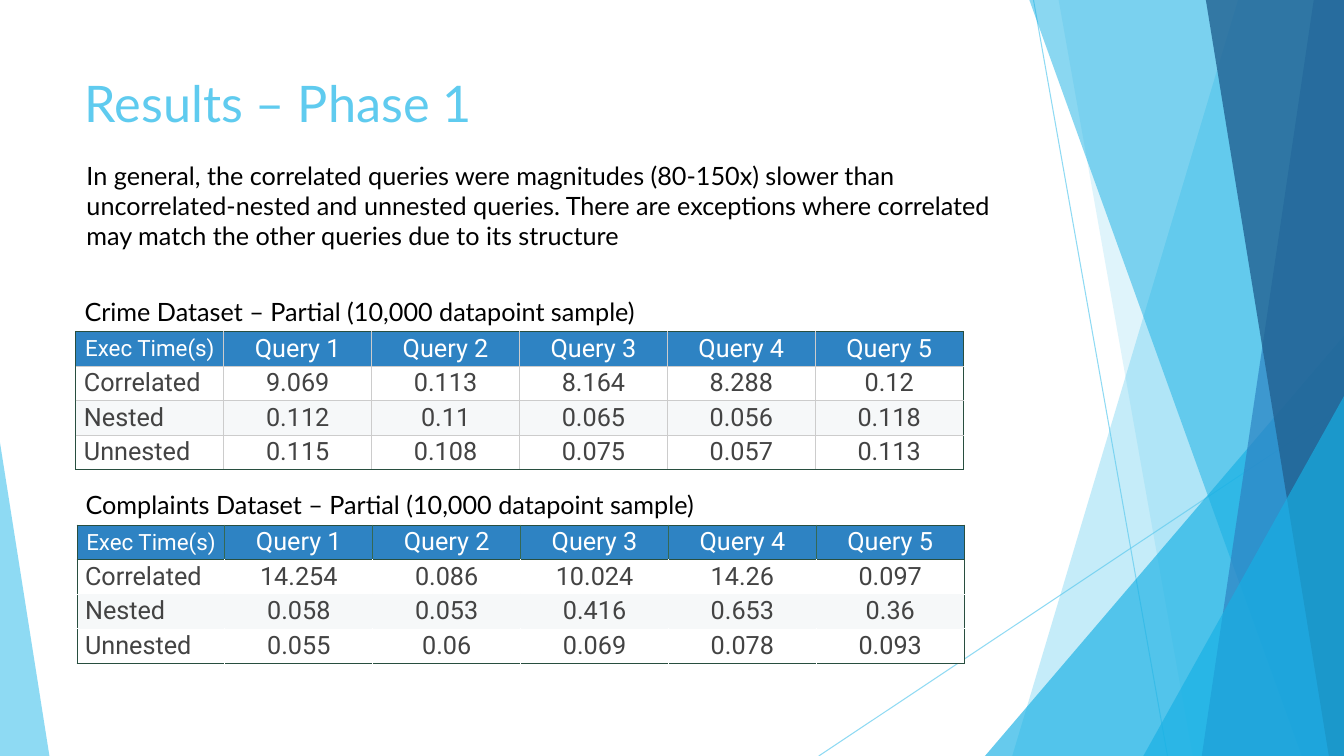
from lxml import etree
from pptx import Presentation
from pptx import util as u
from pptx.dml.color import RGBColor
from pptx.enum import shapes, text
from pptx.oxml import ns

SLIDE_WIDTH, SLIDE_HEIGHT = u.Inches(13.33), u.Inches(7.5)
CAPTION_HEIGHT, ROW_HEIGHT, TABLE_WIDTH = 5.33, 4.57, 66.02

COLORS = {
    "sky": "5FCBEF", "cyan": "17B0E4", "blue": "2E83C3", "navy": "226292",
    "white": "FFFFFF", "stripe": "F6F8F9", "grid": "CCCCCC",
    "frame": "284E3F", "divider": "356854", "body": "434343", "black": "000000",
}

HEADER = ["Exec Time(s)", "Query 1", "Query 2", "Query 3", "Query 4", "Query 5"]
CRIME = [
    HEADER,
    ["Correlated", "9.069", "0.113", "8.164", "8.288", "0.12"],
    ["Nested", "0.112", "0.11", "0.065", "0.056", "0.118"],
    ["Unnested", "0.115", "0.108", "0.075", "0.057", "0.113"],
]
COMPLAINTS = [
    HEADER,
    ["Correlated", "14.254", "0.086", "10.024", "14.26", "0.097"],
    ["Nested", "0.058", "0.053", "0.416", "0.653", "0.36"],
    ["Unnested", "0.055", "0.06", "0.069", "0.078", "0.093"],
]
ROW_FILLS = ["blue", "white", "stripe", "white"]
# Inner line colours of each table row: (vertical, below)
CRIME_LINES = [("grid", "grid")] * 4
COMPLAINTS_LINES = [("divider", "frame")] + [(fill, "stripe") for fill in ROW_FILLS[1:]]


def across(percent):
    return round(SLIDE_WIDTH * percent / 100)


def down(percent):
    return round(SLIDE_HEIGHT * percent / 100)


def rgb(name):
    return RGBColor.from_string(COLORS[name])


def set_opacity(properties, percent):
    color = properties.find(".//" + ns.qn("a:srgbClr"))
    etree.SubElement(color, ns.qn("a:alpha"), val=str(percent * 1000))


def paint(shape, color, opacity):
    shape.shadow.inherit = False
    shape.fill.solid()
    shape.fill.fore_color.rgb = rgb(color)
    shape.line.fill.background()
    set_opacity(shape._element.spPr, opacity)


def add_thin_line(slide, start_x, start_y, end_x, end_y):
    line = slide.shapes.add_connector(
        shapes.MSO_CONNECTOR.STRAIGHT,
        across(start_x), down(start_y), across(end_x), down(end_y))
    line.line.color.rgb = rgb("sky")
    line.line.width = u.Pt(0.75)
    set_opacity(line._element.spPr, 70)
    etree.SubElement(line._element.spPr, ns.qn("a:effectLst"))


def add_band(slide, top_x, bottom_x, color, opacity):
    """Fill from a slanted left edge to the right side of the slide."""
    builder = slide.shapes.build_freeform(across(top_x), 0)
    builder.add_line_segments([
        (SLIDE_WIDTH, 0), (SLIDE_WIDTH, SLIDE_HEIGHT), (across(bottom_x), SLIDE_HEIGHT)])
    paint(builder.convert_to_shape(), color, opacity)


def add_corner(slide, left, right, top, apex, color, opacity):
    """Triangle standing on the bottom edge; apex 0 is at its left, 1 at its right."""
    corner = slide.shapes.add_shape(
        shapes.MSO_SHAPE.ISOSCELES_TRIANGLE,
        across(left), down(top), across(right - left), down(100 - top))
    corner.adjustments[0] = apex
    paint(corner, color, opacity)


def add_backdrop(slide):
    add_thin_line(slide, 76.9, 0, 86.87, 100)
    add_thin_line(slide, 100, 53.73, 60.92, 100)
    add_band(slide, 92.12, 75.32, "sky", 36)
    add_band(slide, 78.77, 88.75, "sky", 20)
    add_corner(slide, 73.29, 100, 44.4, 1, "cyan", 66)
    add_band(slide, 76.59, 96.85, "cyan", 50)
    add_band(slide, 97.75, 89.42, "blue", 70)
    add_band(slide, 89.72, 98.87, "navy", 80)
    add_corner(slide, 85.07, 100, 52.4, 1, "cyan", 66)
    add_corner(slide, 0, 3.68, 58.53, 0, "sky", 70)


def format_paragraph(paragraph, font, size, color, alignment=text.PP_ALIGN.LEFT):
    paragraph.alignment = alignment
    paragraph.font.name = font
    paragraph.font.size = u.Pt(size)
    paragraph.font.color.rgb = rgb(color)


def fill_title(slide, wording):
    title = slide.shapes.title
    title.left, title.top = across(5.55), down(8.93)
    title.width, title.height = across(70.52), down(19.2)
    frame = title.text_frame
    frame.text = wording
    frame.auto_size = text.MSO_AUTO_SIZE.NONE
    frame.vertical_anchor = text.MSO_ANCHOR.TOP
    format_paragraph(frame.paragraphs[0], "Lato", 36, "sky")
    slide.shapes._spTree.append(title._element)


def add_text(slide, wording, left, top, width, height):
    box = slide.shapes.add_textbox(across(left), down(top), across(width), down(height))
    box.text_frame.word_wrap = True
    box.text_frame.text = wording
    format_paragraph(box.text_frame.paragraphs[0], "Lato", 18, "black")


def set_borders(cell, colors):
    """Put the left, right, top and bottom lines before the cell's fill."""
    properties = cell._tc.get_or_add_tcPr()
    for position, (side, color) in enumerate(zip("LRTB", colors)):
        line = etree.Element(ns.qn("a:ln" + side), w=str(u.Pt(0.75)))
        fill = etree.SubElement(line, ns.qn("a:solidFill"))
        etree.SubElement(fill, ns.qn("a:srgbClr"), val=COLORS[color])
        properties.insert(position, line)


def format_cell(cell, wording, row, column):
    cell.text = wording
    cell.vertical_anchor = text.MSO_ANCHOR.MIDDLE
    cell.margin_left = cell.margin_right = u.Inches(0.08)
    cell.margin_top = cell.margin_bottom = u.Inches(0.02)
    cell.fill.solid()
    cell.fill.fore_color.rgb = rgb(ROW_FILLS[row])
    is_label = row > 0 and column == 0
    format_paragraph(
        cell.text_frame.paragraphs[0], "Roboto",
        16 if row == column == 0 else 18,
        "white" if row == 0 else "body",
        text.PP_ALIGN.LEFT if is_label else text.PP_ALIGN.CENTER)


def add_dataset(slide, caption, left, top, caption_width, values, lines):
    """Place a caption with its table of times directly below."""
    add_text(slide, caption, left, top, caption_width, CAPTION_HEIGHT)
    row_count, column_count = len(values), len(HEADER)
    table = slide.shapes.add_table(
        row_count, column_count, across(left + 0.1), down(top + CAPTION_HEIGHT),
        across(TABLE_WIDTH), down(ROW_HEIGHT * row_count)).table
    table.first_row = table.horz_banding = False
    for row, wordings in enumerate(values):
        vertical, below = lines[row]
        for column, wording in enumerate(wordings):
            cell = table.cell(row, column)
            format_cell(cell, wording, row, column)
            set_borders(cell, [
                "frame" if column == 0 else vertical,
                "frame" if column == column_count - 1 else vertical,
                "frame" if row == 0 else lines[row - 1][1],
                "frame" if row == row_count - 1 else below])


def main():
    presentation = Presentation()
    presentation.slide_width, presentation.slide_height = SLIDE_WIDTH, SLIDE_HEIGHT
    slide = presentation.slides.add_slide(presentation.slide_layouts.get_by_name("Title Only"))
    add_backdrop(slide)
    fill_title(slide, "Results – Phase 1")
    add_text(
        slide,
        "In general, the correlated queries were magnitudes (80-150x) slower than "
        "uncorrelated-nested and unnested queries. There are exceptions where correlated "
        "may match the other queries due to its structure",
        5.7, 20.53, 71.12, 13.47)
    add_dataset(slide, "Crime Dataset – Partial (10,000 datapoint sample)",
                5.55, 38.53, 44.34, CRIME, CRIME_LINES)
    add_dataset(slide, "Complaints Dataset – Partial (10,000 datapoint sample)",
                5.63, 64.13, 58.44, COMPLAINTS, COMPLAINTS_LINES)
    presentation.save("out.pptx")


if __name__ == "__main__":
    main()
